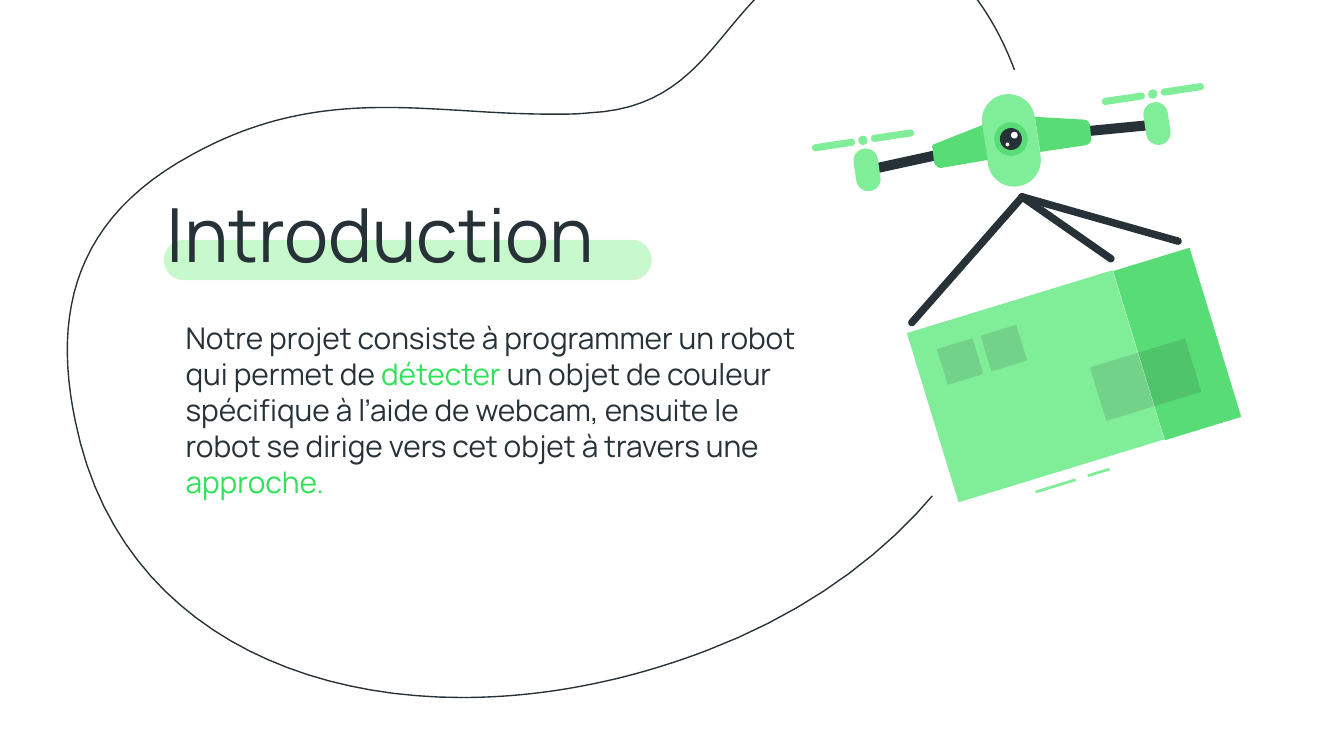
from dataclasses import dataclass
from math import atan2, degrees, hypot

from lxml import etree
from pptx import Presentation
from pptx.dml.color import RGBColor
from pptx.enum.shapes import MSO_SHAPE
from pptx.enum.text import MSO_ANCHOR, MSO_AUTO_SIZE, PP_ALIGN
from pptx.oxml.ns import qn
from pptx.util import Pt

RECTANGLE = MSO_SHAPE.RECTANGLE
ROUNDED = MSO_SHAPE.ROUNDED_RECTANGLE
OVAL = MSO_SHAPE.OVAL
LEFT = PP_ALIGN.LEFT
TOP = MSO_ANCHOR.TOP
NO_FIT = MSO_AUTO_SIZE.NONE


@dataclass(frozen=True)
class Theme:
    font: str = "Manrope"
    title_size: float = 40
    body_size: float = 16
    ink: str = "263238"
    accent: str = "30E259"
    highlight: str = "C7F9CC"
    light: str = "80ED99"
    medium: str = "58DD76"
    shade: str = "1A2327"
    white: str = "FFFFFF"


def trace(start, segments, steps=24):
    """Points along segments of one end point, or two controls and an end point."""
    points = [start]
    for segment in segments:
        if len(segment) == 2:
            points.append(segment)
            continue
        x0, y0 = points[-1]
        x1, y1, x2, y2, x3, y3 = segment
        for step in range(1, steps + 1):
            t = step / steps
            u = 1 - t
            a, b, c, d = u**3, 3 * u * u * t, 3 * u * t * t, t**3
            points.append((a * x0 + b * x1 + c * x2 + d * x3,
                           a * y0 + b * y1 + c * y2 + d * y3))
    return points


class Painter:
    """Draws on the current slide; all lengths are points."""

    def __init__(self, page, theme):
        self.page = page
        self.theme = theme
        self.shapes = page.shapes

    def start_group(self):
        self.shapes = self.page.shapes.add_group_shape().shapes

    def paint(self, shape, fill, line=None, opacity=None):
        shape.shadow.inherit = False
        if fill:
            shape.fill.solid()
            shape.fill.fore_color.rgb = RGBColor.from_string(fill)
        else:
            shape.fill.background()
        if opacity:
            color = shape.element.spPr.find(".//" + qn("a:srgbClr"))
            etree.SubElement(color, qn("a:alpha"), val=str(opacity * 1000))
        if line:
            shape.line.color.rgb = RGBColor.from_string(line)
            shape.line.width = Pt(0.75)
        else:
            shape.line.fill.background()

    def block(self, kind, center, width, height, fill, angle=0, opacity=None):
        x, y = center
        shape = self.shapes.add_shape(kind, Pt(x - width / 2), Pt(y - height / 2),
                                      Pt(width), Pt(height))
        if kind == ROUNDED:
            shape.adjustments[0] = 0.5
        shape.rotation = angle
        self.paint(shape, fill, opacity=opacity)

    def disc(self, center, diameter, fill):
        self.block(OVAL, center, diameter, diameter, fill)

    def rod(self, start, end, thickness, fill):
        """A round-ended bar between two points."""
        dx, dy = end[0] - start[0], end[1] - start[1]
        center = start[0] + dx / 2, start[1] + dy / 2
        self.block(ROUNDED, center, hypot(dx, dy) + thickness, thickness, fill,
                   degrees(atan2(dy, dx)))

    def outline(self, start, segments, fill=None, line=None):
        points = [(Pt(x), Pt(y)) for x, y in trace(start, segments)]
        builder = self.shapes.build_freeform(*points[0])
        builder.add_line_segments(points[1:], close=True)
        self.paint(builder.convert_to_shape(), fill, line)

    def text(self, box, frame, spans, size, space_after=0):
        """Fill a placeholder with (text, colour) spans and bring it to the front."""
        box.left, box.top, box.width, box.height = map(Pt, frame)
        box.element.getparent().append(box.element)
        text_frame = box.text_frame
        text_frame.word_wrap = True
        text_frame.auto_size = NO_FIT
        text_frame.vertical_anchor = TOP
        text_frame.margin_left = text_frame.margin_right = Pt(7.2)
        text_frame.margin_top = text_frame.margin_bottom = Pt(7.2)
        para = text_frame.paragraphs[0]
        para.alignment = LEFT
        para.line_spacing = 1.0
        para.space_before = Pt(0)
        para.space_after = Pt(space_after)
        for words, color in spans:
            span = para.add_run()
            span.text = words
            span.font.name = self.theme.font
            span.font.size = Pt(size)
            span.font.color.rgb = RGBColor.from_string(color)


def draw_crate(painter):
    theme, tilt = painter.theme, -17
    for center, width in (((565.5, 260.3), 22.5), ((588.6, 253.1), 12.2)):
        painter.block(RECTANGLE, center, width, 1.5, theme.light, tilt)
    painter.block(RECTANGLE, (554.8, 207), 115.2, 94.8, theme.light, tilt)
    painter.block(RECTANGLE, (630.7, 184.3), 42.8, 94.8, theme.medium, tilt)
    for center, width, height in (((613.8, 203.4), 53.3, 30),
                                  ((514.4, 193.7), 20, 20),
                                  ((537.8, 186.5), 20, 20)):
        painter.block(RECTANGLE, center, width, height, theme.shade, tilt, opacity=13)


def draw_drone(painter):
    theme, tilt = painter.theme, -8.5
    painter.block(ROUNDED, (541.8, 75.2), 28.5, 49.8, theme.light, tilt)
    painter.disc((541.6, 74.5), 18, theme.medium)
    painter.disc((541.6, 74.5), 11.8, theme.ink)
    painter.disc((543.4, 72.4), 3.6, theme.white)
    painter.disc((539.7, 77.4), 2, theme.white)

    painter.block(RECTANGLE, (600.1, 68.6), 39, 5.4, theme.ink, -5.5)
    painter.block(RECTANGLE, (483.8, 87), 39, 5.4, theme.ink, -12.3)
    for x, y in ((617.6, 50.4), (462.3, 75.2)):
        painter.disc((x, y), 5, theme.light)
        painter.block(ROUNDED, (x + 2.2, y + 15.8), 13.1, 23, theme.light, tilt)
        for side in (-1, 1):
            painter.block(ROUNDED, (x + 15.8 * side, y - 2.5 * side), 23.3, 3.8,
                          theme.light, tilt)

    painter.outline((554.4, 62.6), [
        (557.3, 81.4), (581.8, 77.8), (583.9, 77, 584.6, 75.6, 584.6, 74.2),
        (583.9, 67), (583.2, 64.8, 581.8, 64.1, 580.3, 64.1)], theme.medium)
    painter.outline((526.3, 67), [
        (501.1, 77), (499.7, 77, 499, 78.5, 499.7, 79.9),
        (500.4, 87.1), (501.1, 88.6, 502.6, 90, 504, 90), (529.2, 85.7)], theme.medium)


def main():
    theme = Theme()
    deck = Presentation()
    deck.slide_width, deck.slide_height = Pt(720), Pt(405)
    page = deck.slides.add_slide(deck.slide_layouts[0])
    painter = Painter(page, theme)

    painter.outline((468.7, -31.7), [
        (457.9, -31.7, 445.7, -28.8, 432.7, -22.3),
        (384.5, 2.9, 380.9, 57.6, 315.4, 60.5),
        (308.9, 61.2, 302.4, 61.2, 295.9, 61.2),
        (264.2, 61.2, 235.4, 57.6, 206.6, 57.6),
        (172.8, 57.6, 139.7, 62.6, 103, 82.8),
        (40.3, 116.6, 28.1, 167, 40.3, 225.4),
        (60.5, 326.2, 147.6, 373.7, 247.7, 373.7),
        (290.9, 373.7, 335.5, 365, 378.7, 348.5),
        (516.2, 295.9, 579.6, 174.2, 548.6, 53.3),
        (538.6, 16.6, 512.6, -31.7, 468.7, -31.7)], line=theme.ink)

    painter.block(ROUNDED, (218.5, 139.3), 261.4, 21.6, theme.highlight)
    painter.text(page.shapes.title, (82.1, 93.6, 304.6, 56.9),
                 [("Introduction", theme.ink)], theme.title_size)
    painter.text(page.placeholders[1], (92.2, 164.2, 347, 123.1), [
        ("Notre projet consiste à programmer un robot qui permet de ", theme.ink),
        ("détecter", theme.accent),
        (" un objet de couleur spécifique à l’aide de webcam, ensuite le robot "
         "se dirige vers cet objet à travers une ", theme.ink),
        ("approche.", theme.accent)], theme.body_size, space_after=16)

    painter.start_group()
    painter.disc((563.8, 159.8), 247.7, theme.white)
    draw_crate(painter)
    draw_drone(painter)
    for hook in ((631.1, 129.2), (595.1, 138.6), (488.5, 172.8)):
        painter.rod((547.6, 105.5), hook, 4, theme.ink)

    deck.save("out.pptx")


if __name__ == "__main__":
    main()
